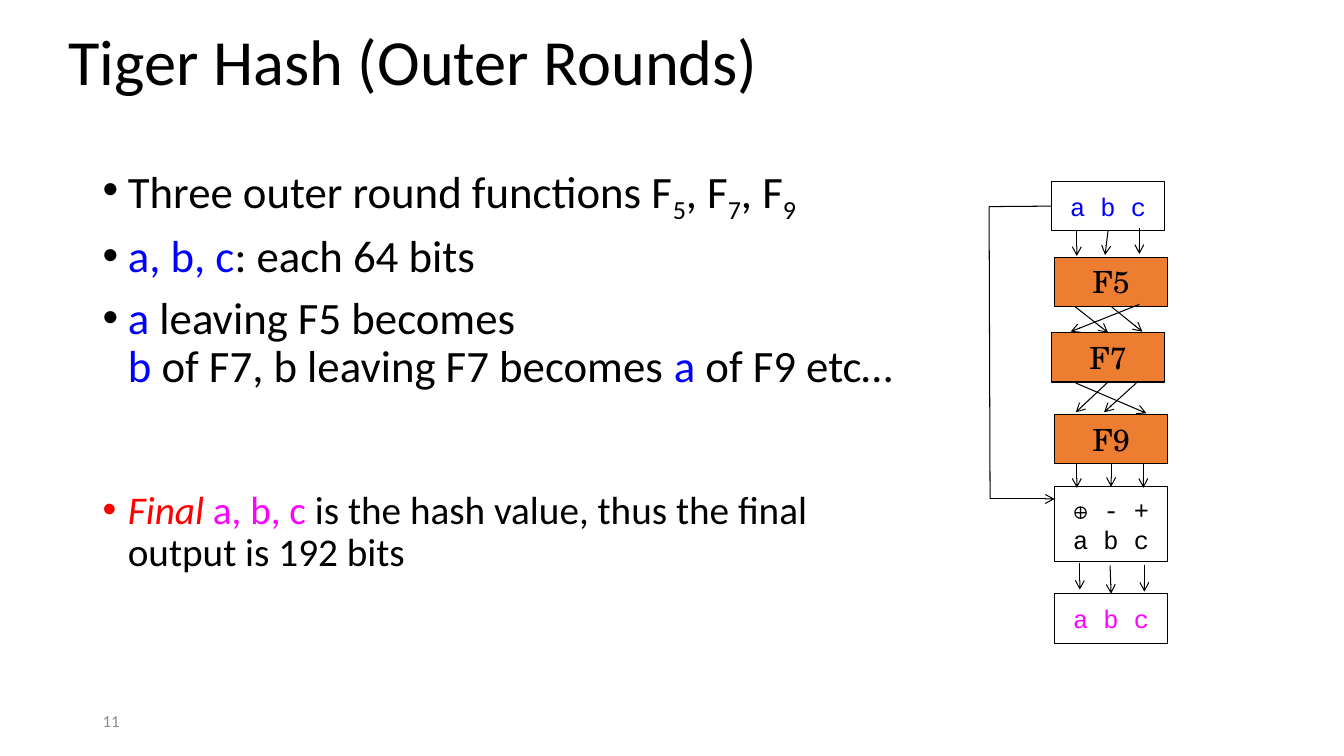
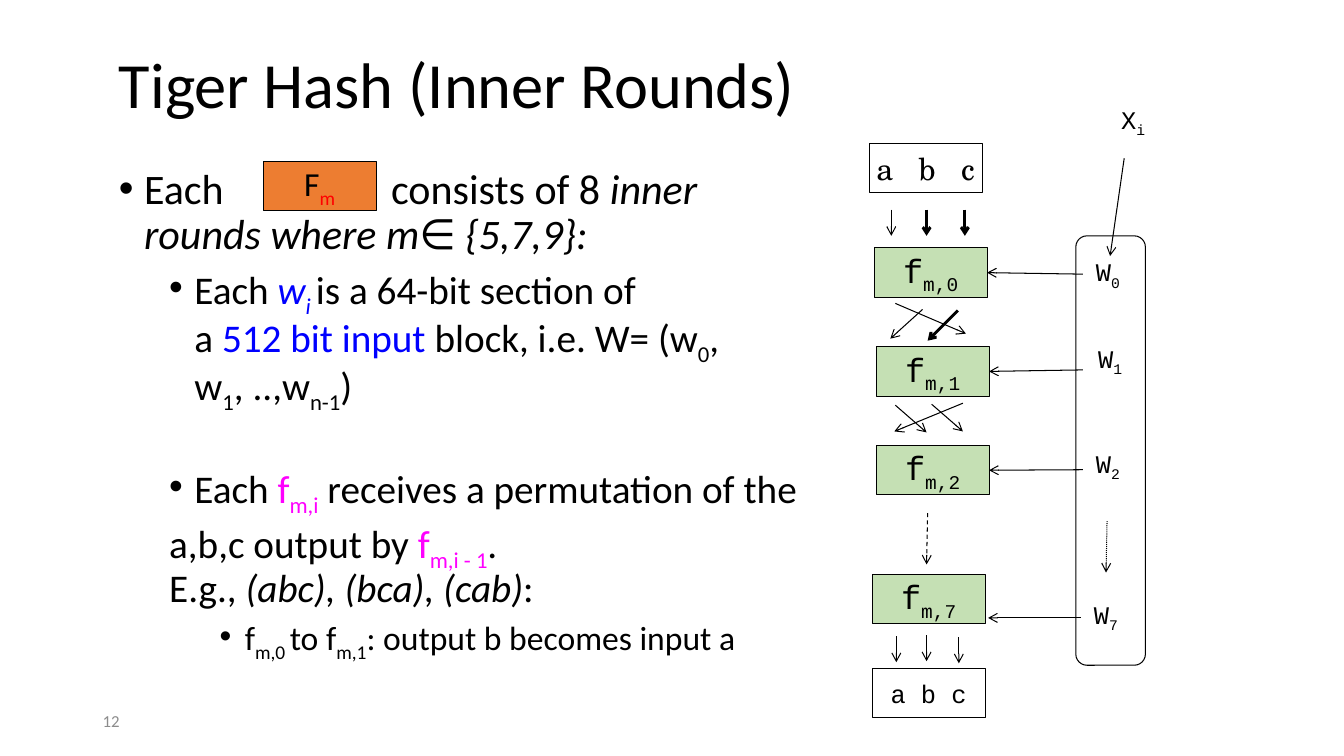
from lxml import etree
from pptx import Presentation
from pptx.dml.color import RGBColor
from pptx.enum import dml, shapes, text
from pptx.oxml import ns
from pptx.util import Inches, Pt

BLACK = RGBColor(0, 0, 0)
GREY = RGBColor(0x8C, 0x8C, 0x8C)
BLUE = RGBColor(0, 0, 0xFF)
RED = RGBColor(0xFF, 0, 0)
MAGENTA = RGBColor(0xFF, 0, 0xFF)
ORANGE = RGBColor(0xED, 0x7D, 0x31)
GREEN = RGBColor(0xC5, 0xE0, 0xB4)
INK = {"b": BLUE, "r": RED, "m": MAGENTA}
SANS, MONO, SERIF = "Calibri", "Courier New", "TeX Gyre Schola"
BOX_W, BOX_H = 1.12, 0.49
JOIN_GAP = 0.04
DASH = dml.MSO_LINE.DASH
DOT = dml.MSO_LINE.ROUND_DOT

# Run styles: b blue, r red, m magenta, i italic, s subscript
OUTER = {
    "title": ("Tiger Hash (Outer Rounds)", 0.58, 0.24),
    "number": "11",
    "body_at": (0.92, 1.58, 8.1, 4.16),
    "body": [
        dict(size=32, runs=[("Three outer round functions F", ""), ("5", "s"), (", F", ""),
                            ("7", "s"), (", F", ""), ("9", "s")]),
        dict(size=32, runs=[("a, b, c", "b"), (": each 64 bits", "")]),
        dict(size=32, runs=[("a", "b"), (" leaving F5 becomes\n", ""), ("b", "b"),
                            (" of F7, b leaving F7 becomes ", ""), ("a", "b"),
                            (" of F9 etc…", "")]),
        dict(size=28, before=70, bullet=RED,
             runs=[("Final ", "ri"), ("a, b, c", "m"),
                   (" is the hash value, thus the final output is 192 bits", "")]),
    ],
    "boxes": [
        (10.43, 1.8, BOX_H, None, MONO, 18.1, [("a b c", "b")]),
        (10.46, 2.55, BOX_H, ORANGE, SERIF, 21.8, [("F5", "")]),
        (10.43, 3.3, BOX_H, ORANGE, SERIF, 21.8, [("F7", "")]),
        (10.46, 4.11, BOX_H, ORANGE, SERIF, 21.8, [("F9", "")]),
        (10.46, 4.83, 0.74, None, MONO, 18.1, [("⊕ - +\na b c", "")]),
        (10.46, 5.89, BOX_H, None, MONO, 18.1, [("a b c", "m")]),
    ],
    "labels": [],
    "arrows": [
        (10.68, 2.28, 10.68, 2.54), (10.96, 2.27, 10.96, 2.53), (11.3, 2.26, 11.3, 2.52),
        (10.66, 3.04, 10.97, 3.3), (11.03, 3.03, 11.33, 3.29), (11.3, 3.02, 10.62, 3.29),
        (10.67, 3.8, 11.37, 4.1), (10.97, 3.79, 10.67, 4.09), (11.27, 3.8, 10.95, 4.09),
        (10.68, 4.59, 10.68, 4.84), (11.01, 4.6, 11.01, 4.85), (11.34, 4.59, 11.34, 4.84),
        (10.71, 5.59, 10.71, 5.85), (11.01, 5.61, 11.01, 5.87), (11.35, 5.61, 11.35, 5.87),
        (9.82, 4.95, 10.46, 4.95),
    ],
    "plain_lines": [(10.42, 2.05, 9.81, 2.05), (9.81, 2.05, 9.82, 4.95)],
    "hairlines": [],
    "broken_arrows": [],
}

INNER = {
    "title": ("Tiger Hash (Inner Rounds)", 1.08, 0.47),
    "number": "12",
    "body_at": (1.08, 1.62, 7.19, 5.13),
    "body": [
        dict(size=30, tab=2.7, runs=[("Each\tconsists of 8 ", ""),
                                     ("inner\nrounds where m∈ {5,7,9}:", "i")]),
        dict(size=28, level=1, before=5,
             runs=[("Each ", ""), ("w", "bi"), ("i ", "bis"),
                   ("is a 64-bit section of\na ", ""), ("512 bit input", "b"),
                   (" block, i.e. W= (w", ""), ("0", "s"), (",\nw", ""), ("1", "s"),
                   (", ..,w", ""), ("n-1", "s"), (")", "")]),
        dict(size=28, level=1, before=39,
             runs=[("Each ", ""), ("f", "m"), ("m,i", "ms"),
                   (" receives a permutation of the", "")]),
        dict(size=28, level=1, before=5, bullet=None,
             runs=[("a,b,c output by ", ""), ("f", "m"), ("m,i - 1", "ms"),
                   (".\nE.g., ", ""), ("(abc), (bca), (cab)", "i"), (":", "")]),
        dict(size=24, level=2, before=5,
             runs=[("f", ""), ("m,0 ", "s"), ("to f", ""), ("m,1", "s"),
                   (": output b becomes input a", "")]),
    ],
    "boxes": [
        (2.61, 1.6, BOX_H, ORANGE, SANS, 24, [("F", ""), ("m", "rs")]),
        (8.62, 1.42, BOX_H, None, SERIF, 21.8, [("a   b   c", "")]),
        (8.65, 6.63, BOX_H, None, MONO, 18.1, [("a b c", "")]),
    ] + [
        (x, y, BOX_H, GREEN, MONO, 24, [("f", ""), (f"m,{i}", "s")])
        for i, x, y in [(0, 8.67, 2.46), (1, 8.69, 3.44), (2, 8.69, 4.42), (7, 8.65, 5.7)]
    ],
    "labels": [("X", "i", 11.12, 1.08), ("W", "0", 10.87, 2.59), ("W", "1", 10.89, 3.45),
               ("W", "2", 10.87, 4.49), ("W", "7", 10.85, 5.99)],
    "arrows": [
        (8.84, 2.08, 8.84, 2.34),
        (8.88, 3.01, 9.58, 3.31), (9.15, 3.07, 8.83, 3.36),
        (8.88, 4.02, 9.19, 4.29), (9.24, 4.01, 9.55, 4.28), (9.55, 4, 8.87, 4.28),
        (8.89, 6.31, 8.89, 6.57), (9.19, 6.3, 9.19, 6.56), (9.51, 6.32, 9.51, 6.58),
        (10.74, 2.72, 9.82, 2.72), (10.74, 3.67, 9.82, 3.67),
        (10.74, 4.66, 9.82, 4.66), (10.72, 6.13, 9.8, 6.13),
        (11.15, 1.57, 11.01, 2.54),
    ],
    "plain_lines": [],
    "hairlines": [(9.19, 2.08, 9.19, 2.34), (9.57, 2.08, 9.57, 2.34), (9.5, 3.08, 9.2, 3.38)],
    "broken_arrows": [(9.2, 5.09, 9.19, 5.6, DASH), (10.98, 5.17, 10.97, 5.68, DOT)],
    "word_frame": (10.67, 2.34, 0.69, 4.26),
}


def add_xml(parent, tag, **attrs):
    return etree.SubElement(parent, ns.qn(tag), attrs)


def write_runs(p, runs, font, size, color=BLACK):
    for words, style in runs:
        for n, line in enumerate(words.split("\n")):
            if n:
                p.add_line_break()
            if not line:
                continue
            r = p.add_run()
            r.text = line
            r.font.name, r.font.size = font, Pt(size)
            r.font.italic = "i" in style
            r.font.color.rgb = next((INK[k] for k in style if k in INK), color)
            if "s" in style:
                r.font._element.set("baseline", "-25000")


def set_frame(sp, wrap, anchor, margin=None):
    tf = sp.text_frame
    tf.word_wrap, tf.vertical_anchor = wrap, anchor
    if margin is not None:
        tf.margin_left = tf.margin_right = tf.margin_top = tf.margin_bottom = margin
    return tf


def add_text(s, at, runs, font, size, color=BLACK, wrap=True, margin=None):
    sp = s.shapes.add_textbox(*map(Inches, at))
    tf = set_frame(sp, wrap, text.MSO_ANCHOR.MIDDLE, margin)
    write_runs(tf.paragraphs[0], runs, font, size, color)


def add_title(s, words, left, top):
    sp = s.shapes.title
    sp.left, sp.top, sp.width, sp.height = map(Inches, (left, top, 8.53, 0.8))
    tf = set_frame(sp, True, text.MSO_ANCHOR.MIDDLE)
    tf.auto_size = text.MSO_AUTO_SIZE.NONE
    p = tf.paragraphs[0]
    p.alignment, p.line_spacing = text.PP_ALIGN.LEFT, 0.9
    write_runs(p, [(words, "")], SANS, 46)


def add_body(s, at, items):
    sp = s.shapes.add_textbox(*map(Inches, at))
    tf = set_frame(sp, True, text.MSO_ANCHOR.TOP)
    for n, item in enumerate(items):
        p = tf.add_paragraph() if n else tf.paragraphs[0]
        p.level = level = item.get("level", 0)
        p.line_spacing, p.space_before = 0.9, Pt(item.get("before", 10))
        bullet = item.get("bullet", BLACK)
        hang = 0.25 if bullet is not None else 0
        pPr = p._p.get_or_add_pPr()
        pPr.set("marL", str(Inches(0.5 * level + hang)))
        pPr.set("indent", str(-Inches(hang)))
        if bullet is not None:
            add_xml(add_xml(pPr, "a:buClr"), "a:srgbClr", val=str(bullet))
            add_xml(pPr, "a:buFont", typeface="Arial")
            add_xml(pPr, "a:buChar", char="•")
        if "tab" in item:
            add_xml(add_xml(pPr, "a:tabLst"), "a:tab", pos=str(Inches(item["tab"])), algn="l")
        write_runs(p, item["runs"], SANS, item["size"])


def add_outline(s, kind, at, fill=None):
    sp = s.shapes.add_shape(kind, *map(Inches, at))
    sp.shadow.inherit = False
    if fill is None:
        sp.fill.background()
    else:
        sp.fill.solid()
        sp.fill.fore_color.rgb = fill
    sp.line.color.rgb, sp.line.width = BLACK, Pt(0.75)
    return sp


def add_box(s, left, top, height, fill, font, size, runs):
    sp = add_outline(s, shapes.MSO_SHAPE.RECTANGLE, (left, top, BOX_W, height), fill)
    tf = set_frame(sp, False, text.MSO_ANCHOR.MIDDLE, 0)
    p = tf.paragraphs[0]
    p.alignment = text.PP_ALIGN.CENTER
    write_runs(p, runs, font, size)
    return sp


def find_side(boxes, x, y):
    for sp in boxes:
        mid_x, mid_y = sp.left + sp.width / 2, sp.top + sp.height / 2
        sides = [(mid_x, sp.top), (sp.left, mid_y),
                 (mid_x, sp.top + sp.height), (sp.left + sp.width, mid_y)]
        for n, (side_x, side_y) in enumerate(sides):
            if max(abs(side_x - Inches(x)), abs(side_y - Inches(y))) < Inches(JOIN_GAP):
                return sp, n
    return None


def add_line(s, boxes, x1, y1, x2, y2, dash=None, width=0.75, head=True):
    cx = s.shapes.add_connector(shapes.MSO_CONNECTOR.STRAIGHT, *map(Inches, (x1, y1, x2, y2)))
    cx.line.color.rgb, cx.line.width = BLACK, Pt(width)
    if dash is not None:
        cx.line.dash_style = dash
    if head:
        add_xml(cx.line._get_or_add_ln(), "a:tailEnd", type="arrow")
    add_xml(cx._element.spPr, "a:effectLst")
    start, end = find_side(boxes, x1, y1), find_side(boxes, x2, y2)
    if start:
        cx.begin_connect(*start)
    if end:
        cx.end_connect(*end)


def build_slide(prs, data):
    s = prs.slides.add_slide(prs.slide_layouts[5])
    add_title(s, *data["title"])
    add_text(s, (0.92, 6.95, 3, 0.4), [(data["number"], "")], SANS, 12, GREY)
    add_body(s, data["body_at"], data["body"])
    if "word_frame" in data:
        sp = add_outline(s, shapes.MSO_SHAPE.ROUNDED_RECTANGLE, data["word_frame"])
        sp.adjustments[0] = 0.16
    boxes = [add_box(s, *box) for box in data["boxes"]]
    for letter, index, left, top in data["labels"]:
        add_text(s, (left, top, 0.25, 0.25), [(letter, ""), (index, "s")], MONO, 18.1,
                 wrap=False, margin=0)
    for line in data["arrows"] + data["broken_arrows"]:
        add_line(s, boxes, *line)
    for line in data["hairlines"]:
        add_line(s, boxes, *line, width=0)
    for line in data["plain_lines"]:
        add_line(s, boxes, *line, head=False)


def main():
    prs = Presentation()
    prs.slide_width, prs.slide_height = Inches(13.33), Inches(7.5)
    for data in (OUTER, INNER):
        build_slide(prs, data)
    prs.save("out.pptx")


if __name__ == "__main__":
    main()
